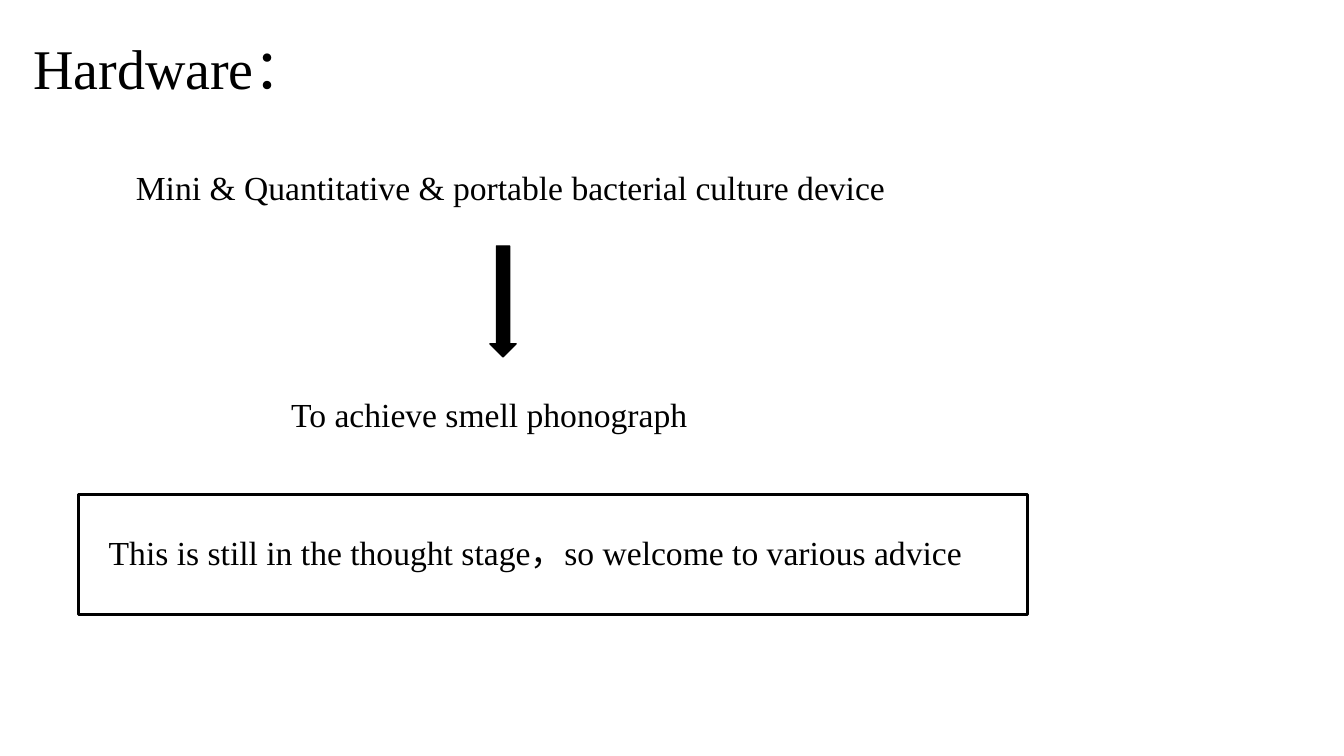
from pptx import Presentation
from pptx.dml.color import RGBColor
from pptx.enum.shapes import MSO_SHAPE
from pptx.enum.text import MSO_ANCHOR, MSO_AUTO_SIZE, PP_ALIGN
from pptx.util import Inches, Pt

RECTANGLE = MSO_SHAPE.RECTANGLE
RIGHT_ARROW = MSO_SHAPE.RIGHT_ARROW
TOP = MSO_ANCHOR.TOP
FIT_SHAPE = MSO_AUTO_SIZE.SHAPE_TO_FIT_TEXT
LEFT = PP_ALIGN.LEFT

BLACK = RGBColor(0x00, 0x00, 0x00)
FONT = "Times New Roman"
TITLE_SIZE = 40
BODY_SIZE = 24
COLUMNS, ROWS = 40, 30
TITLE_ONLY = 5


class HardwareSlide:
    """Draws styled elements on a slide divided into columns and rows."""

    def __init__(self, deck):
        self.column = deck.slide_width / COLUMNS
        self.row = deck.slide_height / ROWS
        self.slide = deck.slides.add_slide(deck.slide_layouts[TITLE_ONLY])

    def place(self, left, top, width, height):
        return (round(left * self.column), round(top * self.row),
                round(width * self.column), round(height * self.row))

    def set_text(self, holder, text, size):
        frame = holder.text_frame
        frame.word_wrap = True
        frame.auto_size = FIT_SHAPE
        frame.vertical_anchor = TOP
        frame.text = text
        paragraph = frame.paragraphs[0]
        paragraph.alignment = LEFT
        paragraph.line_spacing = 1.0
        paragraph.font.name = FONT
        paragraph.font.size = Pt(size)
        paragraph.font.color.rgb = BLACK

    def title(self, text, *cells):
        heading = self.slide.shapes.title
        heading.left, heading.top, heading.width, heading.height = self.place(*cells)
        self.set_text(heading, text, TITLE_SIZE)

    def statement(self, text, *cells):
        self.set_text(self.slide.shapes.add_textbox(*self.place(*cells)), text, BODY_SIZE)

    def outline(self, preset, line_width, *cells):
        shape = self.slide.shapes.add_shape(preset, *self.place(*cells))
        shape.shadow.inherit = False
        shape.fill.background()
        shape.line.color.rgb = BLACK
        shape.line.width = Pt(line_width)
        return shape

    def down_arrow(self, *cells):
        arrow = self.outline(RIGHT_ARROW, 1, *cells)
        arrow.rotation = 90
        arrow.fill.solid()
        arrow.fill.fore_color.rgb = BLACK


def main():
    deck = Presentation()
    deck.slide_width, deck.slide_height = Inches(13.33), Inches(7.5)
    hardware = HardwareSlide(deck)
    hardware.title("Hardware：", 0.69, 1.12, 25.26, 3.08)
    hardware.statement("Mini & Quantitative & portable bacterial culture device",
                       3.75, 6.44, 23.85, 2)
    hardware.down_arrow(13.32, 11.44, 3.3, 1.04)
    hardware.statement("To achieve smell phonograph", 8.37, 15.44, 13.62, 2)
    hardware.statement("This is still in the thought stage，so welcome to various advice",
                       2.94, 20.92, 30.81, 2)
    hardware.outline(RECTANGLE, 2.25, 2.34, 19.64, 28.23, 4.76)
    deck.save("out.pptx")


if __name__ == "__main__":
    main()
